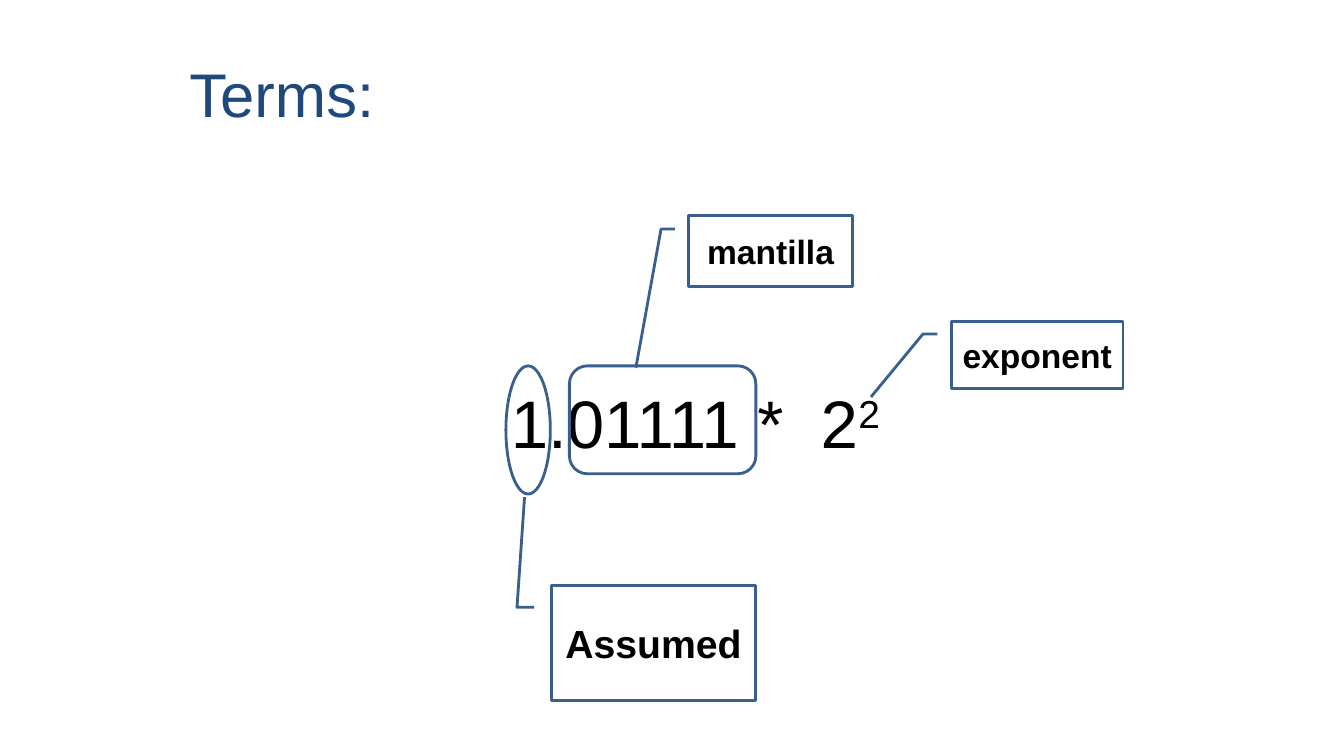
from pptx import Presentation
from pptx.dml.color import RGBColor
from pptx.enum.shapes import MSO_SHAPE
from pptx.enum.text import MSO_ANCHOR, MSO_AUTO_SIZE, PP_ALIGN
from pptx.oxml.ns import qn
from pptx.util import Cm, Pt

NAVY = RGBColor(0x1F, 0x49, 0x7D)
BLUE = RGBColor(0x3A, 0x5F, 0x8C)
BLACK = RGBColor(0, 0, 0)
FONT = "Arial"

# Boxes are left, top, width, height in centimetres
HEAD = (4.52, 0.76, 27.66, 3.18)
BODY = (4.52, 4.45, 27.66, 12.27)

# Offset and size within the body
RINGS = [
    (MSO_SHAPE.ROUNDED_RECTANGLE, (9.83, 4.77, 4.7, 2.72)),
    (MSO_SHAPE.OVAL, (8.23, 4.77, 1.12, 3.23)),
]
# Text, font size, offset and size within the body, tip of the leader (y, x)
LABELS = [
    ("mantilla", 24, (12.83, 0.99, 4.14, 1.78), (2.15, -0.32)),
    ("exponent", 24, (19.46, 3.65, 4.32, 1.7), (1.12, -0.47)),
    ("Assumed", 28, (9.37, 10.31, 5.16, 2.9), (-0.77, -0.13)),
]


def place(shape, box):
    shape.left, shape.top, shape.width, shape.height = map(Cm, box)


def style(para, size, color, bold=False):
    font = para.font
    font.name, font.size, font.bold = FONT, Pt(size), bold
    font.color.rgb = color


def add_title(slide, box):
    title = slide.shapes.title
    place(title, box)
    frame = title.text_frame
    frame.text = "Terms:"
    frame.vertical_anchor = MSO_ANCHOR.MIDDLE
    para = frame.paragraphs[0]
    para.alignment = PP_ALIGN.LEFT
    style(para, 44, NAVY)


def add_number(slide, box):
    """Write the binary number in the body, with a raised exponent."""
    body = slide.placeholders[1]
    place(body, box)
    frame = body.text_frame
    frame.auto_size = MSO_AUTO_SIZE.NONE
    frame.margin_top = Cm(5.16)
    para = frame.paragraphs[0]
    para.space_before = Pt(0)
    style(para, 48, BLACK)
    props = para._p.get_or_add_pPr()
    props.set("marL", str(Cm(8.1)))
    props.set("indent", "0")
    none = props.makeelement(qn("a:buNone"), {})
    props.insert_element_before(none, "a:tabLst", "a:defRPr", "a:extLst")
    para.add_run().text = "1.01111 *  2"
    power = para.add_run()
    power.text = "2"
    power.font._element.set("baseline", "30000")


def add_outline(slide, kind, box, part):
    left, top, width, height = part
    spot = (box[0] + left, box[1] + top, width, height)
    shape = slide.shapes.add_shape(kind, *map(Cm, spot))
    shape.shadow.inherit = False
    shape.fill.background()
    shape.line.color.rgb = BLUE
    shape.line.width = Pt(2)
    return shape


def add_label(slide, box, text, size, part, tip):
    shape = add_outline(slide, MSO_SHAPE.LINE_CALLOUT_2, box, part)
    shape.adjustments[4], shape.adjustments[5] = tip
    frame = shape.text_frame
    frame.text = text
    frame.word_wrap = True
    frame.margin_left = frame.margin_right = Cm(0.1)
    frame.vertical_anchor = MSO_ANCHOR.MIDDLE
    para = frame.paragraphs[0]
    para.alignment = PP_ALIGN.CENTER
    style(para, size, BLACK, bold=True)


def add_terms(slide, box):
    """Ring the parts of the number and name them."""
    for kind, part in RINGS:
        add_outline(slide, kind, box, part)
    for label in LABELS:
        add_label(slide, box, *label)


def main():
    deck = Presentation()
    deck.slide_width, deck.slide_height = Cm(33.87), Cm(19.05)
    slide = deck.slides.add_slide(deck.slide_layouts[1])
    add_title(slide, HEAD)
    add_number(slide, BODY)
    add_terms(slide, BODY)
    deck.save("out.pptx")


if __name__ == "__main__":
    main()
